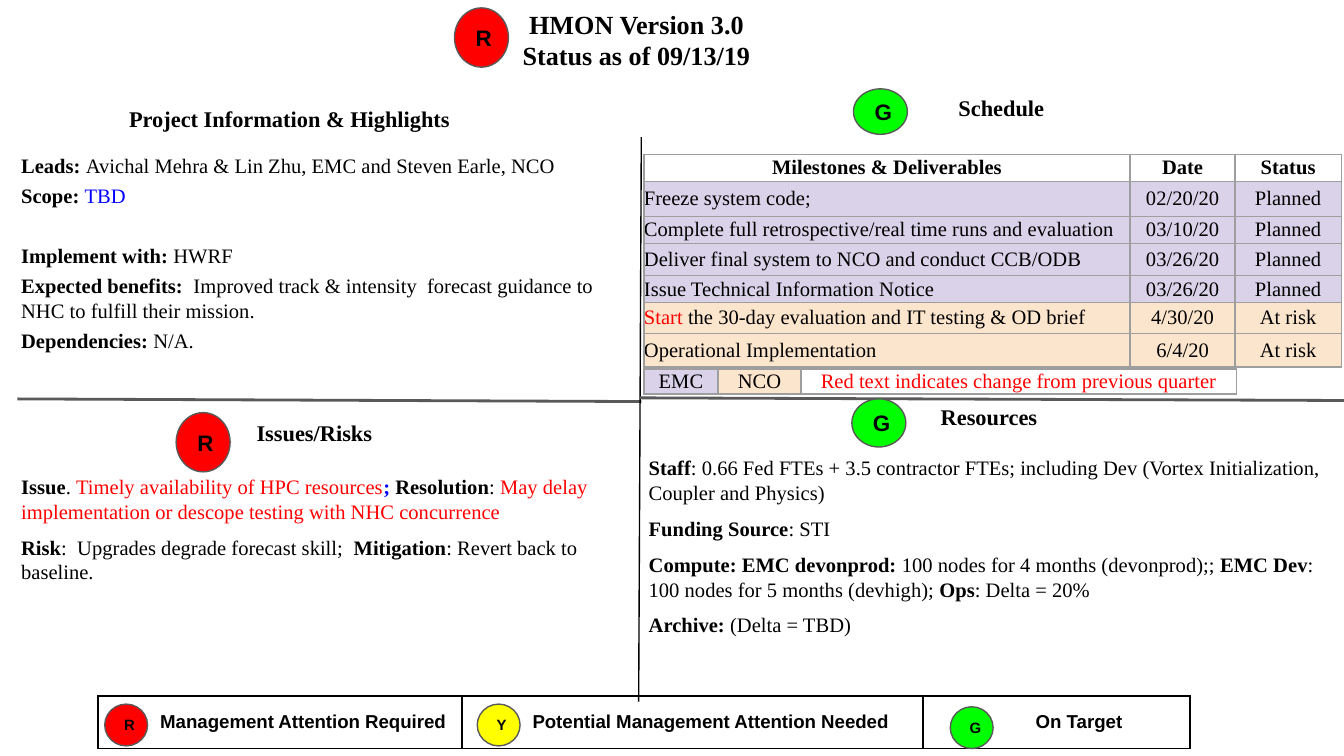
from lxml import etree
from pptx import Presentation
from pptx import util as u
from pptx.dml.color import RGBColor
from pptx.enum import shapes, text
from pptx.oxml import ns

Cm, Pt = u.Cm, u.Pt
SERIF, SANS = "Times New Roman", "Arial"
COLORS = {
    "black": "000000", "red": "FF0000", "yellow": "FFFF00", "green": "00FF00",
    "blue": "0000FF", "grey": "595959", "grid": "9E9E9E",
    "emc": "D9D2E9", "nco": "FCE5CD",
}
STYLES = {
    "label": {"bold": True},
    "plain": {},
    "change": {"color": "red"},
    "open": {"color": "blue"},
    "joint": {"color": "blue", "bold": True},
}
LEFT, CENTER = text.PP_ALIGN.LEFT, text.PP_ALIGN.CENTER
MIDDLE = text.MSO_ANCHOR.MIDDLE


def rgb(name):
    return RGBColor.from_string(COLORS[name])


def write(paragraph, words, size=11, font=SERIF, color="black", bold=False):
    run = paragraph.add_run()
    run.text = words
    run.font.size = Pt(size)
    run.font.name = font
    run.font.bold = bold
    run.font.color.rgb = rgb(color)


def text_frame(slide, left, top, width, height):
    frame = slide.shapes.add_textbox(Cm(left), Cm(top), Cm(width), Cm(height)).text_frame
    frame.word_wrap = True
    frame.margin_left = frame.margin_right = Cm(0.25)
    frame.margin_top = frame.margin_bottom = Cm(0.25)
    return frame


def add_heading(slide, left, top, width, height, lines, size=12, align=CENTER):
    frame = text_frame(slide, left, top, width, height)
    frame.vertical_anchor = MIDDLE
    for i, line in enumerate(lines):
        paragraph = frame.add_paragraph() if i else frame.paragraphs[0]
        paragraph.alignment = align
        write(paragraph, line, size=size, bold=True)


def add_body(slide, left, top, width, height, entries, gap, wide_gaps=None):
    frame = text_frame(slide, left, top, width, height)
    for i, entry in enumerate(entries):
        paragraph = frame.add_paragraph() if i else frame.paragraphs[0]
        if i:
            paragraph.space_before = Pt((wide_gaps or {}).get(i, gap))
        for words, style in entry:
            write(paragraph, words, **STYLES[style])


def add_badge(slide, left, top, width, height, letter, color, size=12, align=LEFT):
    badge = slide.shapes.add_shape(
        shapes.MSO_SHAPE.OVAL, Cm(left), Cm(top), Cm(width), Cm(height))
    badge.shadow.inherit = False
    badge.fill.solid()
    badge.fill.fore_color.rgb = rgb(color)
    badge.line.color.rgb = rgb("grey")
    badge.line.width = Pt(0.75)
    frame = badge.text_frame
    frame.vertical_anchor = MIDDLE
    frame.margin_left = frame.margin_right = Cm(0.25)
    frame.margin_top = frame.margin_bottom = Cm(0.25)
    frame.paragraphs[0].alignment = align
    write(frame.paragraphs[0], letter, size=size, font=SANS, bold=True)


def add_divider(slide, x1, y1, x2, y2, color, width):
    divider = slide.shapes.add_connector(
        shapes.MSO_CONNECTOR.STRAIGHT, Cm(x1), Cm(y1), Cm(x2), Cm(y2))
    divider.line.color.rgb = rgb(color)
    divider.line.width = Pt(width)
    etree.SubElement(divider._element.spPr, ns.qn("a:effectLst"))


def add_grid(slide, left, top, widths, heights):
    grid = slide.shapes.add_table(
        len(heights), len(widths), Cm(left), Cm(top),
        Cm(sum(widths)), Cm(sum(heights))).table
    grid.first_row = grid.horz_banding = False
    for column, width in zip(grid.columns, widths):
        column.width = Cm(width)
    for row, height in zip(grid.rows, heights):
        row.height = Cm(height)
    return grid


def fill_cell(cell, runs, fill=None, border="grid", align=CENTER, indent=0):
    cell.margin_left = Cm(indent)
    cell.margin_right = cell.margin_top = cell.margin_bottom = 0
    cell.vertical_anchor = MIDDLE
    if fill:
        cell.fill.solid()
        cell.fill.fore_color.rgb = rgb(fill)
    else:
        cell.fill.background()
    properties = cell._tc.get_or_add_tcPr()
    for i, side in enumerate(("lnL", "lnR", "lnT", "lnB")):
        edge = etree.Element(ns.qn("a:" + side), w=str(Pt(1)))
        paint = etree.SubElement(edge, ns.qn("a:solidFill"))
        etree.SubElement(paint, ns.qn("a:srgbClr"), val=COLORS[border])
        properties.insert(i, edge)
    paragraph = cell.text_frame.paragraphs[0]
    paragraph.alignment = align
    for words, style in runs:
        write(paragraph, words, **style)


def add_title(slide, left, top):
    add_heading(slide, left, top, 8.56, 1.55,
                ["HMON Version 3.0", "Status as of 09/13/19"], size=14)
    add_badge(slide, left + 0.84, top + 0.18, 1.02, 1.12, "R", "red")


def add_project(slide, left, top):
    add_heading(slide, left + 1.78, top, 7.09, 0.79, ["Project Information & Highlights"])
    add_body(slide, left, top + 0.79, 11.94, 4.72, [
        [("Leads: ", "label"),
         ("Avichal Mehra & Lin Zhu, EMC and Steven Earle, NCO", "plain")],
        [("Scope: ", "label"), ("TBD", "open")],
        [("Implement with: ", "label"), ("HWRF", "plain")],
        [("Expected benefits: ", "label"),
         (" Improved track & intensity  forecast guidance to NHC to fulfill their mission.",
          "plain")],
        [("Dependencies:", "label"), (" N/A.", "plain")],
    ], gap=3, wide_gaps={2: 19})


def add_schedule(slide, left, top):
    add_heading(slide, left + 5.51, top, 2.49, 0.71, ["Schedule"])
    add_badge(slide, left + 3.96, top, 1.02, 0.86, "G", "green", align=CENTER)
    label, plain, change = STYLES["label"], STYLES["plain"], STYLES["change"]
    milestones = [
        ([("Freeze system code;", plain)], "02/20/20", "Planned", "emc"),
        ([("Complete full retrospective/real time runs and evaluation", plain)],
         "03/10/20", "Planned", "emc"),
        ([("Deliver final system to NCO and conduct CCB/ODB", plain)],
         "03/26/20", "Planned", "emc"),
        ([("Issue Technical Information Notice", plain)], "03/26/20", "Planned", "emc"),
        ([("Start ", change), ("the 30-day evaluation and IT testing & OD brief", plain)],
         "4/30/20", "At risk", "nco"),
        ([("Operational Implementation", plain)], "6/4/20", "At risk", "nco"),
    ]
    grid = add_grid(slide, left, top + 1.24, [9.19, 1.98, 2.01],
                    [0.51, 0.66, 0.51, 0.61, 0.51, 0.58, 0.64])
    for col, name in enumerate(["Milestones & Deliverables", "Date", "Status"]):
        fill_cell(grid.cell(0, col), [(name, label)])
    for row, (task, date, status, owner) in enumerate(milestones, 1):
        fill_cell(grid.cell(row, 0), task, fill=owner, align=LEFT)
        fill_cell(grid.cell(row, 1), [(date, plain)], fill=owner)
        fill_cell(grid.cell(row, 2), [(status, plain)], fill=owner)
    key = add_grid(slide, left, top + 5.3, [1.4, 1.57, 8.23], [0.38])
    for col, (words, style, fill) in enumerate([
            ("EMC", plain, "emc"), ("NCO", plain, "nco"),
            ("Red text indicates change from previous quarter", change, None)]):
        fill_cell(key.cell(0, col), [(words, style)], fill=fill)


def add_issues(slide, left, top):
    add_heading(slide, left + 4.45, top, 4.78, 0.71, ["Issues/Risks"], align=LEFT)
    add_badge(slide, left + 3.18, top - 0.02, 1.02, 1.12, "R", "red")
    add_body(slide, left, top + 0.89, 11.58, 3.91, [
        [("Issue", "label"), (". ", "plain"),
         ("Timely availability of HPC resources", "change"), ("; ", "joint"),
         ("Resolution", "label"), (": ", "plain"),
         ("May delay implementation or descope testing with NHC concurrence", "change")],
        [("Risk", "label"), (":  Upgrades degrade forecast skill;  ", "plain"),
         ("Mitigation", "label"), (": Revert back to baseline.", "plain")],
    ], gap=6)


def add_resources(slide, left, top):
    add_heading(slide, left + 5.52, top, 2.77, 0.71, ["Resources"], align=LEFT)
    add_badge(slide, left + 4.09, top + 0.02, 1.02, 0.91, "G", "green", align=CENTER)
    add_body(slide, left, top + 0.84, 13.39, 4.52, [
        [("Staff", "label"),
         (": 0.66 Fed FTEs + 3.5 contractor FTEs; including Dev (Vortex Initialization, "
          "Coupler and Physics)", "plain")],
        [("Funding Source", "label"), (": STI", "plain")],
        [("Compute: EMC devonprod: ", "label"),
         ("100 nodes for 4 months (devonprod);; ", "plain"), ("EMC Dev", "label"),
         (": 100 nodes for 5 months (devhigh); ", "plain"), ("Ops", "label"),
         (": Delta = 20%", "plain")],
        [("Archive:", "label"), (" (Delta = TBD)", "plain")],
    ], gap=6)


def add_legend(slide, left, top):
    grid = add_grid(slide, left, top, [6.88, 8.71, 5.05], [0.99])
    style = {"size": 10, "font": SANS, "bold": True}
    for col, (meaning, indent, letter, color, x, y) in enumerate([
            ("Management Attention Required", 0.87, "R", "red", 0.13, 0.15),
            ("Potential Management Attention Needed", 0.68, "Y", "yellow", 7.17, 0.15),
            ("On Target", 0.85, "G", "green", 16.11, 0.2)]):
        fill_cell(grid.cell(0, col), [(meaning, style)], border="black", indent=indent)
        add_badge(slide, left + x, top + y, 0.81, 0.79, letter, color, size=8)


def main():
    deck = Presentation()
    deck.slide_width, deck.slide_height = Cm(25.4), Cm(14.29)
    slide = deck.slides.add_slide(deck.slide_layouts[6])
    add_title(slide, 7.75, -0.03)
    add_project(slide, 0.15, 1.85)
    add_schedule(slide, 12.17, 1.68)
    add_divider(slide, 0.33, 7.54, 12.12, 7.59, "grey", 1.5)
    add_divider(slide, 12.12, 2.59, 12.07, 13.26, "black", 0.75)
    add_divider(slide, 12.09, 7.52, 25.4, 7.57, "grey", 1.5)
    add_issues(slide, 0.15, 7.82)
    add_resources(slide, 12.01, 7.52)
    add_legend(slide, 1.85, 13.16)
    deck.save("out.pptx")


if __name__ == "__main__":
    main()
